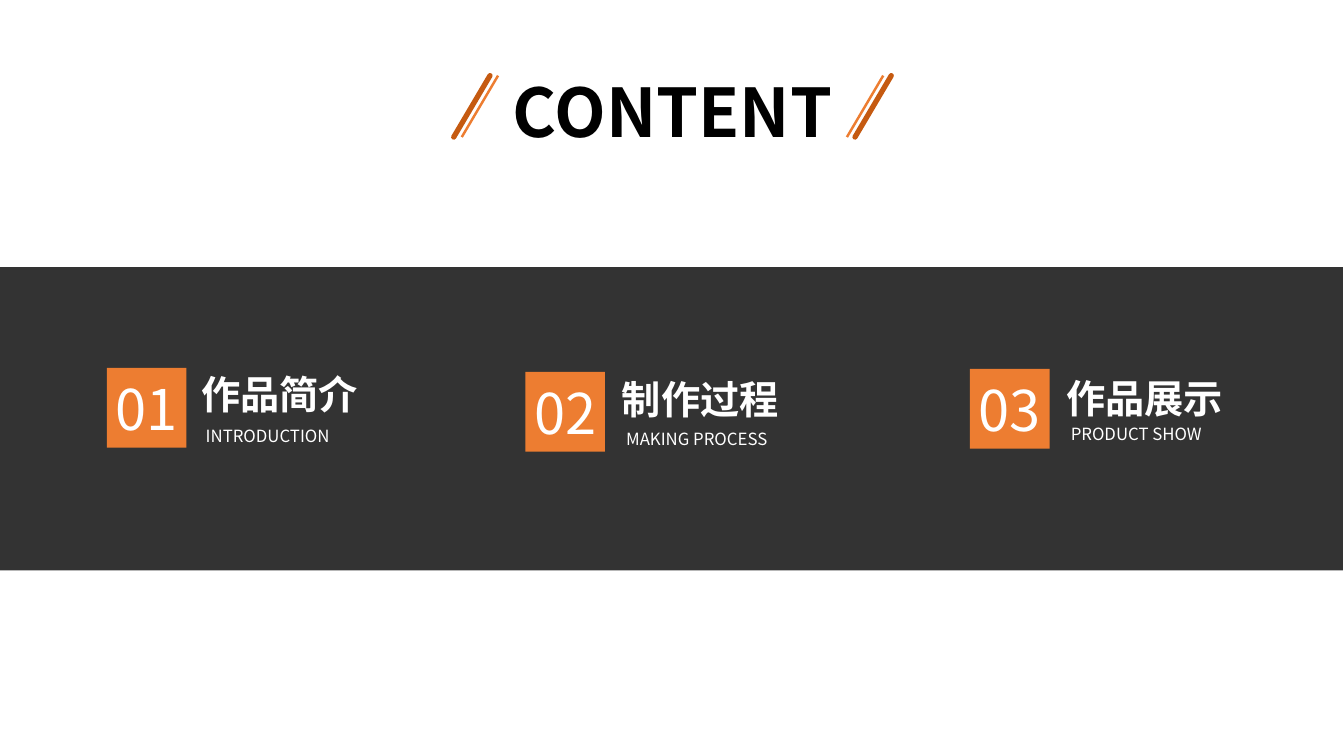
from dataclasses import dataclass

from lxml import etree
from pptx import Presentation
from pptx.dml.color import RGBColor
from pptx.enum import shapes, text
from pptx.oxml.ns import qn
from pptx.util import Inches, Pt


@dataclass(frozen=True)
class Theme:
    font: str = "Noto Sans CJK SC"
    black: str = "000000"
    white: str = "FFFFFF"
    band: str = "333333"
    orange: str = "ED7D31"
    dark_orange: str = "C55A11"
    title_size: int = 48
    number_size: int = 40
    heading_size: int = 28
    caption_size: int = 12


THEME = Theme()
BADGE_SIDE = 0.79
SLASH_WIDTH, SLASH_TOP, SLASH_BOTTOM = 0.36, 0.75, 1.36

# number, heading, caption, badge left and top, text left, heading top, caption top
SECTIONS = [
    ("01", "作品简介", "INTRODUCTION", 1.06, 3.65, 1.9, 3.62, 4.17),
    ("02", "制作过程", "MAKING PROCESS", 5.21, 3.69, 6.07, 3.67, 4.2),
    ("03", "作品展示", "PRODUCT SHOW", 9.62, 3.66, 10.48, 3.66, 4.15),
]


def write(shape, words, size, color, bold=False, align=text.PP_ALIGN.LEFT,
          anchor=text.MSO_ANCHOR.MIDDLE, wrap=True):
    frame = shape.text_frame
    frame.text = words
    frame.word_wrap = wrap
    frame.vertical_anchor = anchor
    paragraph = frame.paragraphs[0]
    paragraph.alignment = align
    font = paragraph.runs[0].font
    font.name, font.size, font.bold = THEME.font, Pt(size), bold
    font.color.rgb = RGBColor.from_string(color)
    # Chinese characters take their font from the East Asian slot
    east_asian = etree.SubElement(paragraph.runs[0]._r.rPr, qn("a:ea"))
    east_asian.set("typeface", THEME.font)


def add_text(slide, left, top, width, height, words, size, **options):
    box = slide.shapes.add_textbox(*map(Inches, (left, top, width, height)))
    write(box, words, size, THEME.white, **options)
    box.text_frame.auto_size = text.MSO_AUTO_SIZE.SHAPE_TO_FIT_TEXT
    return box


def add_rectangle(slide, left, top, width, height, color):
    rectangle = slide.shapes.add_shape(
        shapes.MSO_SHAPE.RECTANGLE, *map(Inches, (left, top, width, height)))
    rectangle.shadow.inherit = False
    rectangle.fill.solid()
    rectangle.fill.fore_color.rgb = RGBColor.from_string(color)
    rectangle.line.fill.background()
    return rectangle


def add_slash(slide, left, color, weight, cap="flat"):
    slash = slide.shapes.add_connector(
        shapes.MSO_CONNECTOR.STRAIGHT, Inches(left + SLASH_WIDTH),
        Inches(SLASH_TOP), Inches(left), Inches(SLASH_BOTTOM))
    slash.line.color.rgb = RGBColor.from_string(color)
    slash.line.width = Pt(weight)
    slash.line._get_or_add_ln().set("cap", cap)
    etree.SubElement(slash._element.spPr, qn("a:effectLst"))


def add_title(slide, words):
    title = slide.shapes.title
    title.left, title.top = Inches(4.88), Inches(0.65)
    title.width, title.height = Inches(3.58), Inches(0.91)
    write(title, words, THEME.title_size, THEME.black, bold=True,
          align=text.PP_ALIGN.CENTER, anchor=text.MSO_ANCHOR.TOP, wrap=False)
    title.text_frame.auto_size = text.MSO_AUTO_SIZE.SHAPE_TO_FIT_TEXT


def add_section(slide, number, heading, caption, badge_left, badge_top,
                text_left, heading_top, caption_top):
    badge = add_rectangle(slide, badge_left, badge_top, BADGE_SIDE, BADGE_SIDE,
                          THEME.orange)
    write(badge, number, THEME.number_size, THEME.white,
          align=text.PP_ALIGN.CENTER, wrap=False)
    add_text(slide, text_left, heading_top, 2.1, 0.57, heading,
             THEME.heading_size, bold=True)
    caption_box = add_text(slide, text_left, caption_top, 1.65, 0.3, caption,
                           THEME.caption_size, anchor=text.MSO_ANCHOR.TOP)
    caption_box.text_frame.margin_left = Inches(0.14)
    caption_box.text_frame.margin_right = 0


def main():
    presentation = Presentation()
    presentation.slide_width = Inches(13.33)
    presentation.slide_height = Inches(7.5)
    slide = presentation.slides.add_slide(presentation.slide_layouts[5])

    add_rectangle(slide, -0.06, 2.65, 13.38, 3.01, THEME.band)
    add_title(slide, "CONTENT")
    for left in (4.58, 8.4):
        add_slash(slide, left, THEME.orange, 1.75)
    for left in (4.5, 8.48):
        add_slash(slide, left, THEME.dark_orange, 3.75, cap="rnd")
    for section in SECTIONS:
        add_section(slide, *section)

    presentation.save("out.pptx")


if __name__ == "__main__":
    main()
